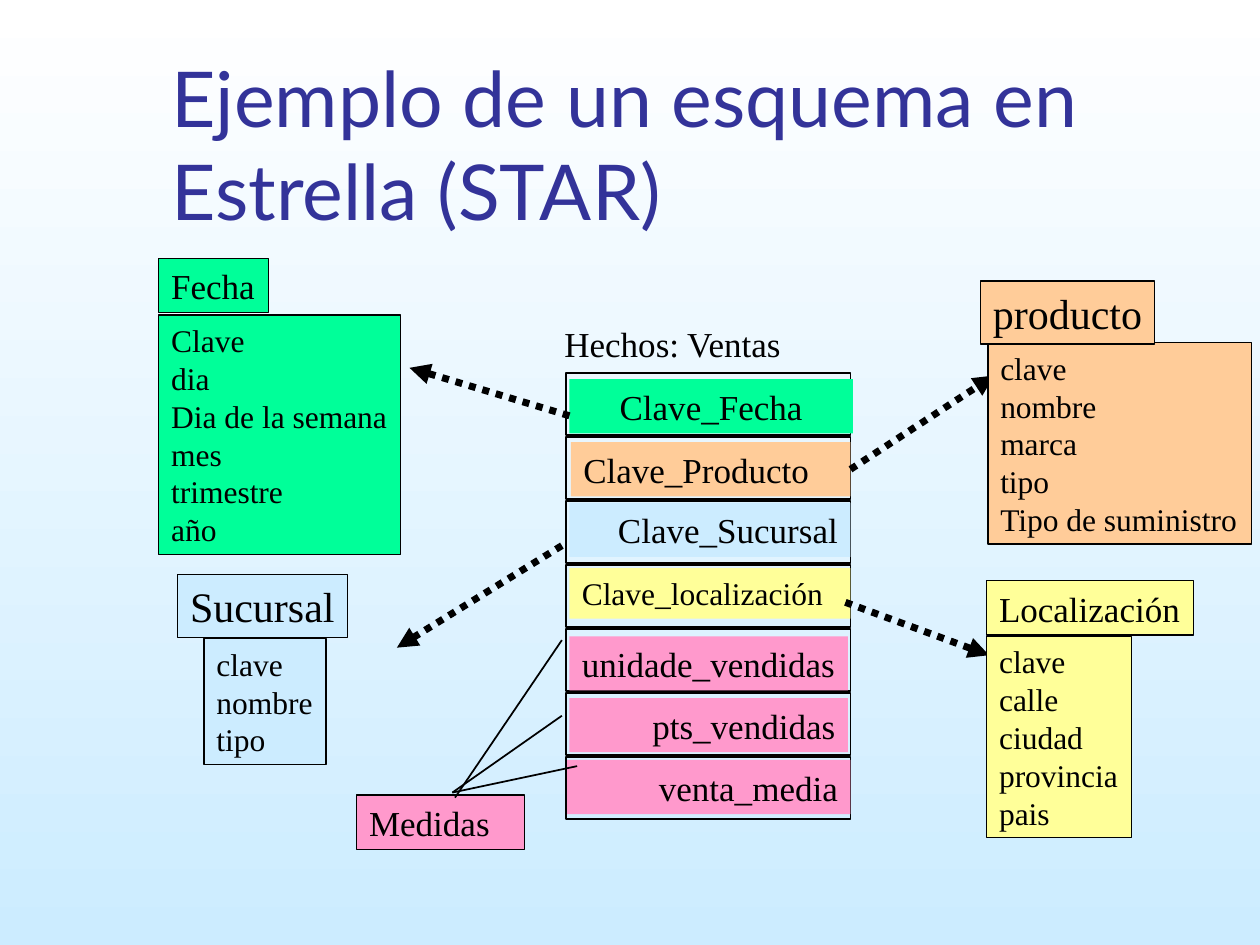
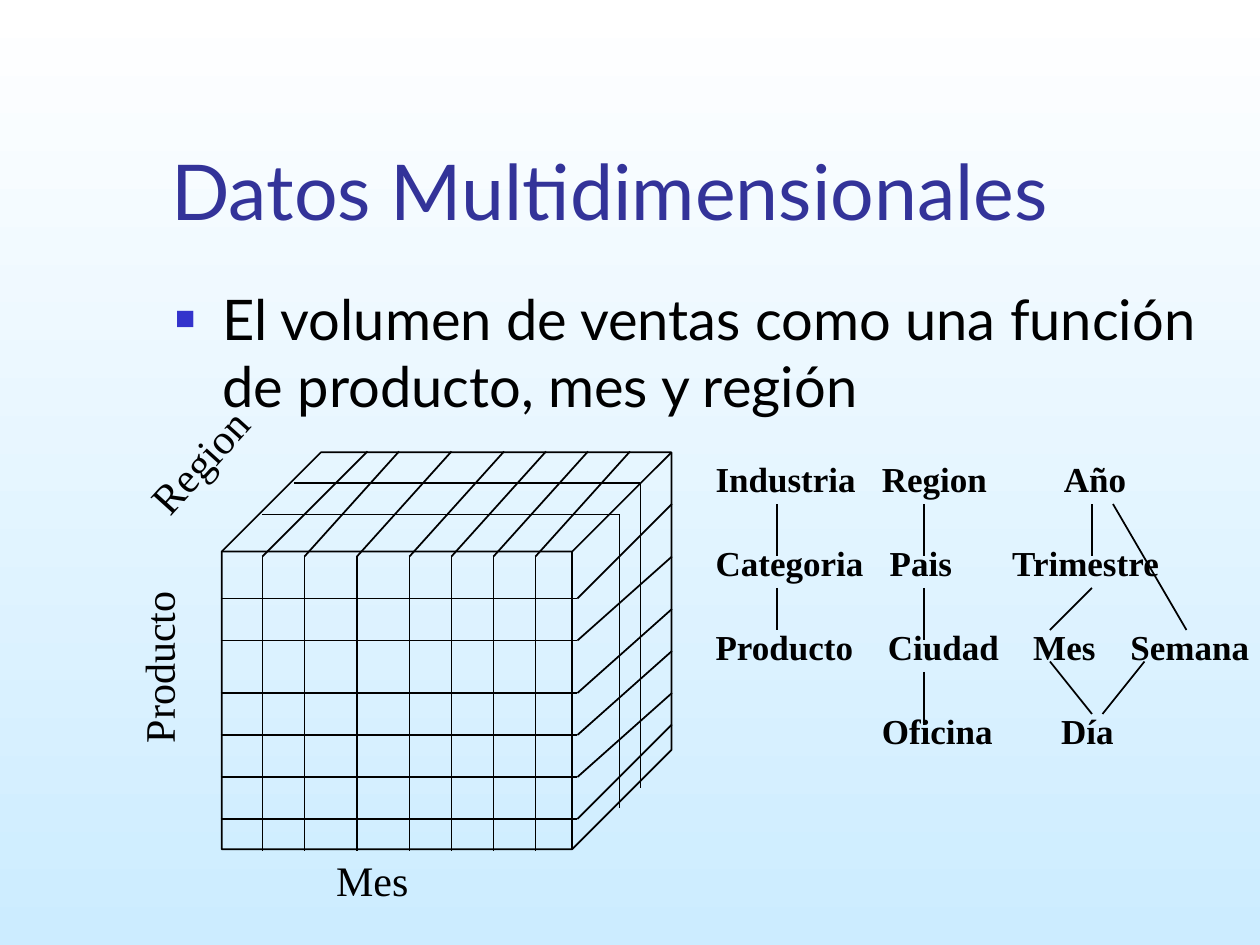
from dataclasses import dataclass
from typing import Optional

import lxml.etree
import pptx
import pptx.dml.color
import pptx.dml.fill
import pptx.enum.dml
import pptx.enum.shapes
import pptx.enum.text
import pptx.oxml.ns
import pptx.shapes.autoshape
import pptx.shapes.connector
import pptx.shapes.shapetree
import pptx.slide
import pptx.text.text
import pptx.util

Pt = pptx.util.Pt
Align = pptx.enum.text.PP_ALIGN
Anchor = pptx.enum.text.MSO_ANCHOR
Geometry = pptx.enum.shapes.MSO_SHAPE

SANS, SERIF = "Lato", "Times New Roman"
BLACK, WHITE, SKY = "000000", "FFFFFF", "CCECFF"
TITLE_BLUE, BULLET_BLUE = "333399", "3333CC"
GREEN, ORANGE, YELLOW, PINK = "00FF99", "FFCC99", "FFFF99", "FF99CC"


@dataclass(frozen=True)
class Box:
    left: float
    top: float
    width: float
    height: float
    text: str = ""
    size: float = 20
    fill: Optional[str] = None
    border: Optional[float] = None
    align: Align = Align.LEFT
    wrap: bool = False
    rotation: float = 0
    geometry: Geometry = Geometry.RECTANGLE


@dataclass(frozen=True)
class Line:
    x1: float
    y1: float
    x2: float
    y2: float


@dataclass(frozen=True)
class Dimension:
    heading: Box
    attributes: Box


@dataclass(frozen=True)
class Level:
    """A row of the hierarchies: words parted by tabs, and their tab stops."""
    words: str
    stops: tuple[float, ...]


def rgb(value: str) -> pptx.dml.color.RGBColor:
    return pptx.dml.color.RGBColor.from_string(value)


def add_element(parent: lxml.etree._Element, tag: str, **attributes: str) -> lxml.etree._Element:
    return lxml.etree.SubElement(parent, pptx.oxml.ns.qn(tag), attributes)


def write(para: pptx.text.text._Paragraph, text: str, *, size: float, font: str = SERIF,
          color: str = BLACK, bold: bool = False, align: Align = Align.LEFT,
          before: float = 0) -> None:
    para.alignment = align
    para.space_before = Pt(before)
    para.line_spacing = Pt(round(size * 1.2, 1))
    span = para.add_run()
    span.text = text
    span.font.name = font
    span.font.size = Pt(size)
    span.font.bold = bold
    span.font.color.rgb = rgb(color)


def add_box(shapes: pptx.shapes.shapetree._BaseGroupShapes, box: Box) -> pptx.shapes.autoshape.Shape:
    place = [Pt(length) for length in (box.left, box.top, box.width, box.height)]
    if box.fill or box.border:
        shape = shapes.add_shape(box.geometry, *place)
        shape.shadow.inherit = False
        if box.fill:
            shape.fill.solid()
            shape.fill.fore_color.rgb = rgb(box.fill)
        else:
            shape.fill.background()
        if box.border:
            shape.line.color.rgb = rgb(BLACK)
            shape.line.width = Pt(box.border)
        else:
            shape.line.fill.background()
    else:
        shape = shapes.add_textbox(*place)
    shape.rotation = box.rotation
    if box.text:
        frame = shape.text_frame
        frame.word_wrap = box.wrap
        frame.vertical_anchor = Anchor.TOP
        for index, text in enumerate(box.text.split("\n")):
            para = frame.add_paragraph() if index else frame.paragraphs[0]
            write(para, text, size=box.size, align=box.align)
    return shape


def add_line(page: pptx.slide.Slide, line: Line,
             dotted_arrow: bool = False) -> pptx.shapes.connector.Connector:
    connector = page.shapes.add_connector(
        pptx.enum.shapes.MSO_CONNECTOR.STRAIGHT,
        Pt(line.x1), Pt(line.y1), Pt(line.x2), Pt(line.y2))
    connector.line.color.rgb = rgb(BLACK)
    connector.line.width = Pt(4 if dotted_arrow else 1)
    if dotted_arrow:
        connector.line.dash_style = pptx.enum.dml.MSO_LINE.ROUND_DOT
        add_element(connector.line._get_or_add_ln(), "a:tailEnd", type="triangle")
    add_element(connector._element.spPr, "a:effectLst")
    return connector


def paint_background(master: pptx.slide.SlideMaster) -> None:
    fill = master.background.fill
    fill.gradient()
    fill.gradient_angle = 270
    for stop, color in zip(fill.gradient_stops, (WHITE, SKY)):
        stop.color.rgb = rgb(color)


def move(shape: pptx.shapes.autoshape.Shape, left: float, top: float,
         width: float, height: float) -> None:
    shape.left, shape.top, shape.width, shape.height = map(Pt, (left, top, width, height))
    shape.text_frame.auto_size = pptx.enum.text.MSO_AUTO_SIZE.NONE


def add_page(deck: pptx.presentation.Presentation, layout: str, title: str) -> pptx.slide.Slide:
    page = deck.slides.add_slide(deck.slide_layouts.get_by_name(layout))
    holder = page.shapes.title
    move(holder, 90.7, 48.2, 613.4, 90)
    holder.text_frame.vertical_anchor = Anchor.BOTTOM
    write(holder.text_frame.paragraphs[0], title, size=44, font=SANS, color=TITLE_BLUE)
    return page


DIMENSIONS = [
    Dimension(Box(90.7, 147.6, 62.6, 31, "Fecha", 20, GREEN, 0.75),
              Box(90.7, 180, 138.2, 136.8, "Clave\ndia\nDia de la semana\nmes\ntrimestre\naño",
                  18, GREEN, 0.75)),
    Dimension(Box(563.8, 331.9, 118.1, 31, "Localización", 20, YELLOW, 0.75),
              Box(563.8, 363.6, 82.8, 115.2, "clave\ncalle\nciudad\nprovincia\npais",
                  18, YELLOW, 0.75)),
    Dimension(Box(560.2, 160.6, 99.4, 36, "producto", 24, ORANGE, 0.75),
              Box(564.5, 195.8, 150.5, 115.2, "clave\nnombre\nmarca\ntipo\nTipo de suministro",
                  18, ORANGE, 0.75)),
    Dimension(Box(101.5, 328.3, 97.2, 36, "Sucursal", 24, SKY, 0.75),
              Box(116.6, 365, 69.8, 72, "clave\nnombre\ntipo", 18, SKY, 0.75)),
]

FACT_FIELDS = [
    Box(325.4, 216.7, 162, 31, "Clave_Fecha", fill=GREEN, align=Align.CENTER, wrap=True),
    Box(326.2, 252.7, 159.8, 31, "Clave_Producto", fill=ORANGE, wrap=True),
    Box(325.4, 287.3, 160.6, 31, "Clave_Sucursal", fill=SKY, align=Align.RIGHT, wrap=True),
    Box(325.4, 324.7, 160.6, 28.8, "Clave_localización", 18, YELLOW, wrap=True),
    Box(325.4, 363.6, 159.1, 31, "unidade_vendidas", fill=PINK),
    Box(325.4, 398.9, 159.1, 31, "pts_vendidas", fill=PINK, align=Align.RIGHT, wrap=True),
    Box(324, 434.2, 162, 31, "venta_media", fill=PINK, align=Align.RIGHT, wrap=True),
]
FRAME_TOP, FRAME_STEP = 213.1, 36.6

MEASURE_LINES = [
    Line(260, 455.8, 321.1, 365.8),
    Line(258.5, 452.9, 321.1, 409),
    Line(258.5, 452.9, 329.8, 437.8),
]
KEY_ARROWS = {
    "Clave_Sucursal": Line(321.1, 311.8, 226.8, 370.1),
    "Clave_Fecha": Line(325.4, 237.6, 234, 210.2),
    "Clave_localización": Line(483.1, 344.2, 565.2, 374.4),
    "Clave_Producto": Line(483.1, 267.8, 568.1, 214.6),
}


def build_star_schema(deck: pptx.presentation.Presentation) -> None:
    page = add_page(deck, "Title Only", "Ejemplo de un esquema en Estrella (STAR)")
    add_box(page.shapes, Box(315.4, 180.7, 141.1, 31, "Hechos: Ventas"))
    fields = {}
    for row, field in enumerate(FACT_FIELDS):
        add_box(page.shapes, Box(323.3, FRAME_TOP + row * FRAME_STEP, 162.7, 35.3, border=1))
        fields[field.text] = add_box(page.shapes, field)
    add_box(page.shapes, Box(203.8, 454.3, 95.8, 31, "Medidas", fill=PINK, border=0.75))
    for line in MEASURE_LINES:
        add_line(page, line)
    arrows = {key: add_line(page, line, dotted_arrow=True) for key, line in KEY_ARROWS.items()}
    arrows["Clave_Producto"].begin_connect(fields["Clave_Producto"], 3)
    for dimension in DIMENSIONS:
        group = page.shapes.add_group_shape()
        add_box(group.shapes, dimension.attributes)
        add_box(group.shapes, dimension.heading)


# Front row height -> height where the row meets the back edge
CUBE_ROWS = {342: 288, 366: 318, 396: 348, 420: 372, 444: 396, 468: 414}
# Front column position -> position on the back edge of the top face
CUBE_COLUMNS = {150: 210, 174: 228, 204: 258, 234: 288, 258: 312, 282: 336, 306: 360}
# Each layer runs across the top face, then down the side from its right end
CUBE_LAYERS = [(Line(168, 276, 366, 276), 450), (Line(150, 294, 354, 294), 462)]

AXIS_LABELS = [
    Box(39.6, 362.9, 101.5, 36, "Producto", 24, rotation=270),
    Box(72, 245.5, 83.5, 36, "Region", 24, rotation=312),
    Box(185, 484.6, 56.2, 36, "Mes", 24),
]
LEVELS = [
    Level("Industria\tRegion\tAño", (95, 199)),
    Level("Categoria\tPais\tTrimestre", (99.5, 169.5)),
    Level("Producto\tCiudad\tMes\tSemana", (98.5, 181.5, 237)),
    Level("\tOficina\tDía", (95, 197.5)),
]
LEVEL_LINKS = [
    Line(444, 288, 444, 318), Line(528, 288, 528, 318), Line(624, 288, 624, 318),
    Line(444, 336, 444, 360), Line(528, 336, 528, 366), Line(528, 384, 528, 414),
    Line(624, 336, 600, 360), Line(636, 288, 678, 360),
    Line(600, 378, 624, 408), Line(654, 378, 630, 408),
]


def add_bullet(page: pptx.slide.Slide, text: str) -> None:
    body = page.placeholders[1]
    move(body, 92.9, 159.1, 612, 324)
    para = body.text_frame.paragraphs[0]
    write(para, text, size=32, font=SANS, before=8)
    settings = para._p.get_or_add_pPr()
    settings.set("marL", str(Pt(27)))
    settings.set("indent", str(Pt(-27)))
    add_element(add_element(settings, "a:buClr"), "a:srgbClr", val=BULLET_BLUE)
    add_element(settings, "a:buSzPct", val="60000")
    add_element(settings, "a:buChar", char="■")


def add_cube(page: pptx.slide.Slide) -> None:
    add_box(page.shapes, Box(126.7, 258.5, 257, 226.8, border=1, geometry=Geometry.CUBE))
    for front, back in CUBE_ROWS.items():
        add_line(page, Line(126, front, 330, front))
        add_line(page, Line(330, front, 384, back))
    for front, back in CUBE_COLUMNS.items():
        add_line(page, Line(front, 318, front, 486))
        add_line(page, Line(front, 318, back, 258))
    for across, bottom in CUBE_LAYERS:
        add_line(page, across)
        add_line(page, Line(across.x2, across.y2, across.x2, bottom))


def add_hierarchies(page: pptx.slide.Slide) -> None:
    frame = add_box(page.shapes, Box(401.8, 257.8, 320.4, 175.7)).text_frame
    frame.word_wrap = True
    frame.margin_right = 0
    for index, level in enumerate(LEVELS):
        para = frame.add_paragraph() if index else frame.paragraphs[0]
        write(para, level.words, size=20, bold=True, before=24 if index else 0)
        tabs = add_element(para._p.get_or_add_pPr(), "a:tabLst")
        for stop in level.stops:
            add_element(tabs, "a:tab", pos=str(Pt(stop)), algn="l")
    for link in LEVEL_LINKS:
        add_line(page, link)


def build_cube_page(deck: pptx.presentation.Presentation) -> None:
    page = add_page(deck, "Title and Content", "Datos Multidimensionales")
    add_bullet(page, "El volumen de ventas como una función de producto, mes y región")
    add_cube(page)
    for label in AXIS_LABELS:
        add_box(page.shapes, label)
    add_hierarchies(page)


def main() -> None:
    deck = pptx.Presentation()
    deck.slide_width, deck.slide_height = Pt(720), Pt(540)
    paint_background(deck.slide_master)
    build_star_schema(deck)
    build_cube_page(deck)
    deck.save("out.pptx")


if __name__ == "__main__":
    main()
